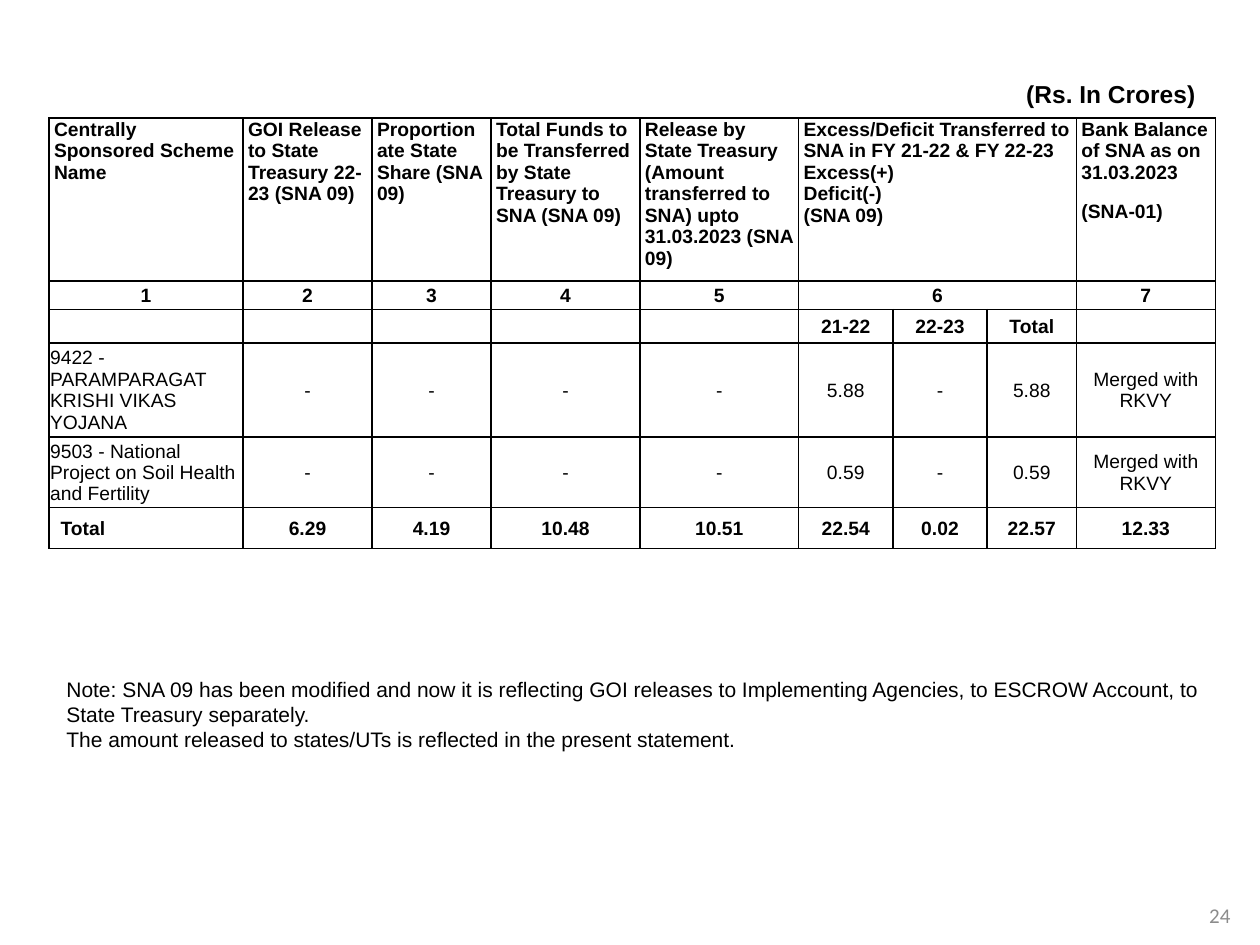
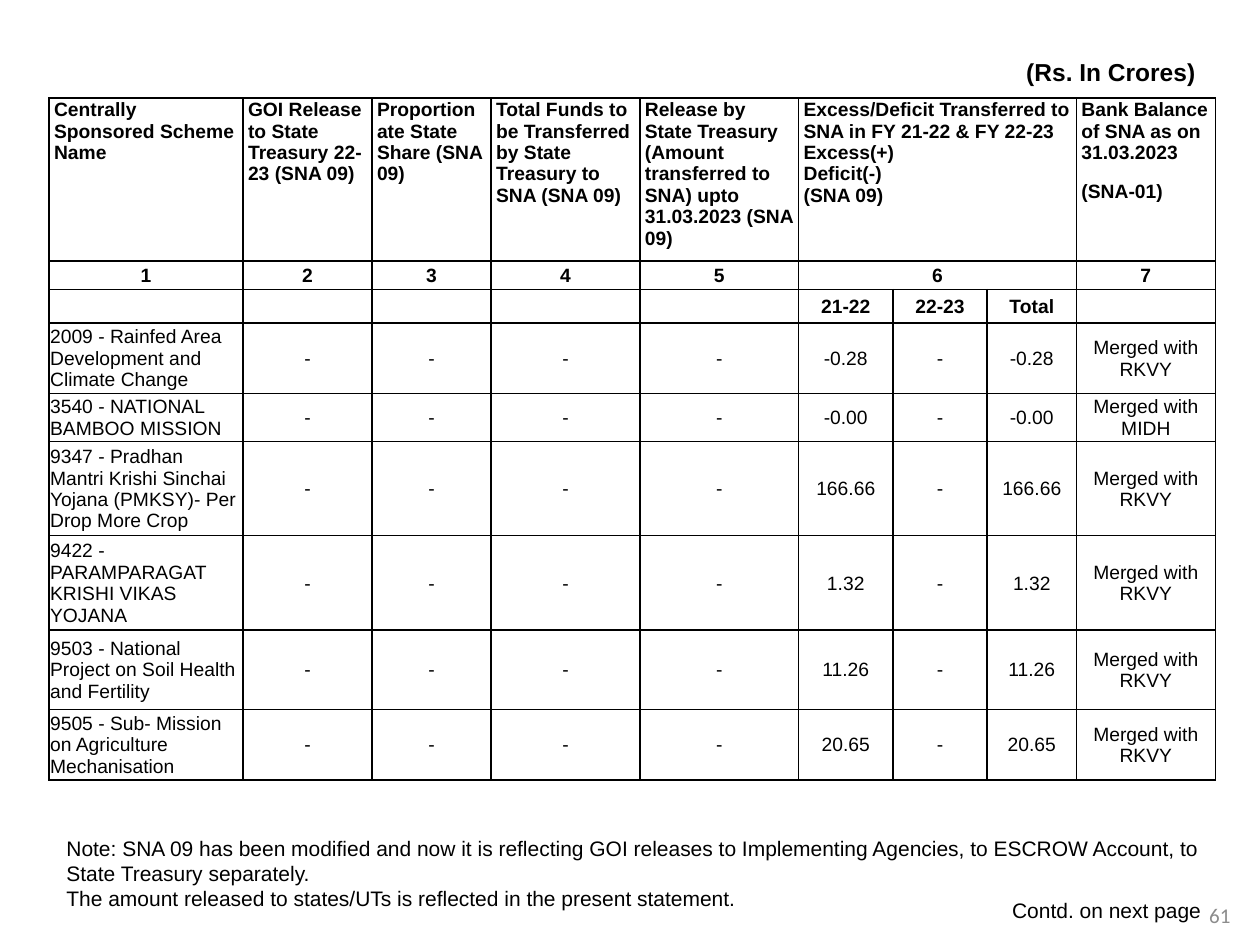
from lxml import etree
from pptx import Presentation
from pptx.dml.color import RGBColor
from pptx.enum.text import MSO_ANCHOR, MSO_AUTO_SIZE, PP_ALIGN
from pptx.oxml.ns import qn
from pptx.util import Cm, Pt

BLACK = RGBColor(0x00, 0x00, 0x00)
GREY = RGBColor(0x8C, 0x8C, 0x8C)
LEFT, CENTER, RIGHT = PP_ALIGN.LEFT, PP_ALIGN.CENTER, PP_ALIGN.RIGHT
TOP, MIDDLE, BOTTOM = MSO_ANCHOR.TOP, MSO_ANCHOR.MIDDLE, MSO_ANCHOR.BOTTOM
NO_FIT = MSO_AUTO_SIZE.NONE
TITLE_ONLY = 5

TITLE_FONT = {"name": "Arial", "size": Pt(14), "bold": True}
NOTE_FONT = {"name": "Arial", "size": Pt(12), "bold": False}
NUMBER_FONT = {"name": "Calibri", "size": Pt(12), "bold": False}
CELL_FONT = {"name": "Arial", "size": Pt(11), "bold": False}
HEAD_FONT = {**CELL_FONT, "bold": True}

# Cell insets in cm: left, top, right, bottom
HEAD_INSETS = (0.1, 0.02, 0.1, 0)
CELL_INSETS = (0.02, 0.02, 0.02, 0)
TOTAL_INSETS = (0.23, 0.02, 0.02, 0)

COLUMN_WIDTHS = (3.91, 2.6, 2.4, 3, 3.2, 1.9, 1.9, 1.8, 2.8)
HEADING_HEIGHTS = (3.28, 0.58, 0.67)
EXCESS_COLUMN, EXCESS_END, BALANCE_COLUMN = 5, 7, 8
HEADINGS = {
    0: ["Centrally Sponsored Scheme Name"],
    1: ["GOI Release to State Treasury 22-23 (SNA 09)"],
    2: ["Proportionate State Share (SNA 09)"],
    3: ["Total Funds to be Transferred by State Treasury to SNA (SNA 09)"],
    4: ["Release by State Treasury (Amount transferred to SNA) upto "
        "31.03.2023 (SNA 09)"],
    EXCESS_COLUMN: ["Excess/Deficit Transferred to SNA in FY 21-22 & FY 22-23",
                    "Excess(+)", "Deficit(-)", "(SNA 09)"],
    BALANCE_COLUMN: ["Bank Balance of SNA as on 31.03.2023", "(SNA-01)"],
}
YEARS = ["", "", "", "", "", "21-22", "22-23", "Total", ""]
NOTE = [
    "Note: SNA 09 has been modified and now it is reflecting GOI releases to "
    "Implementing Agencies, to ESCROW Account, to State Treasury separately.",
    "The amount released to states/UTs is reflected in the present statement.",
]


def merged_scheme(name, excess, target="RKVY"):
    """Row of a scheme that has only an excess or deficit of 21-22."""
    return [name, *"----", excess, "-", excess, f"Merged with {target}"]


PARAMPARAGAT = "9422 - PARAMPARAGAT KRISHI VIKAS YOJANA"
SOIL_HEALTH = "9503 - National Project on Soil Health and Fertility"
STATEMENTS = [
    {
        "caption_top": 0.86, "table_top": 2.38, "note_top": 13.51,
        "number": "24", "continued": False,
        "schemes": [
            (1.9, merged_scheme(PARAMPARAGAT, "5.88")),
            (1.42, merged_scheme(SOIL_HEALTH, "0.59")),
        ],
        "total": (0.83, ["Total", "6.29", "4.19", "10.48", "10.51",
                         "22.54", "0.02", "22.57", "12.33"]),
    },
    {
        "caption_top": 0.41, "table_top": 1.98, "note_top": 16.71,
        "number": "61", "continued": True,
        "schemes": [
            (1.42, merged_scheme(
                "2009 - Rainfed Area Development and Climate Change", "-0.28")),
            (0.97, merged_scheme(
                "3540 - NATIONAL BAMBOO MISSION", "-0.00", "MIDH")),
            (1.9, merged_scheme(
                "9347 - Pradhan Mantri Krishi Sinchai Yojana (PMKSY)- "
                "Per Drop More Crop", "166.66")),
            (1.9, merged_scheme(PARAMPARAGAT, "1.32")),
            (1.6, merged_scheme(SOIL_HEALTH, "11.26")),
            (1.42, merged_scheme(
                "9505 - Sub- Mission on Agriculture Mechanisation", "20.65")),
        ],
        "total": None,
    },
]


def write(frame, lines, font, color=BLACK, **paragraph_format):
    """Fill a text frame, one paragraph for each line."""
    for index, line in enumerate(lines):
        paragraph = frame.add_paragraph() if index else frame.paragraphs[0]
        for key, value in paragraph_format.items():
            setattr(paragraph, key, value)
        if not line:
            etree.SubElement(paragraph._p, qn("a:endParaRPr"),
                             sz=str(int(font["size"].pt * 100)))
            continue
        run = paragraph.add_run()
        run.text = line
        for key, value in font.items():
            setattr(run.font, key, value)
        run.font.color.rgb = color


def add_text(slide, box, lines, font, color=BLACK, anchor=TOP, align=LEFT,
             wrap=True):
    frame = slide.shapes.add_textbox(*map(Cm, box)).text_frame
    frame.word_wrap = wrap
    frame.vertical_anchor = anchor
    write(frame, lines, font, color, alignment=align)


def add_borders(cell):
    properties = cell._tc.get_or_add_tcPr()
    for side in ("lnL", "lnR", "lnT", "lnB"):
        line = etree.SubElement(properties, qn(f"a:{side}"), w=str(Pt(1)))
        fill = etree.SubElement(line, qn("a:solidFill"))
        etree.SubElement(fill, qn("a:srgbClr"), val=str(BLACK))


def fill_cell(cell, lines, font, insets, anchor, **paragraph_format):
    sides = ("margin_left", "margin_top", "margin_right", "margin_bottom")
    for side, inset in zip(sides, insets):
        setattr(cell, side, Cm(inset))
    cell.vertical_anchor = anchor
    write(cell.text_frame, lines, font, **paragraph_format)


def fill_row(table, row, values, font, first_insets=CELL_INSETS):
    for column, value in enumerate(values):
        fill_cell(table.cell(row, column), [value], font,
                  CELL_INSETS if column else first_insets, MIDDLE,
                  alignment=CENTER if column else LEFT)


def add_caption(slide, box):
    caption = slide.shapes.title
    caption.left, caption.top, caption.width, caption.height = map(Cm, box)
    frame = caption.text_frame
    frame.auto_size = NO_FIT
    frame.vertical_anchor = BOTTOM
    frame.margin_right = Cm(0.38)
    write(frame, ["(Rs. In Crores)"], TITLE_FONT, alignment=RIGHT)


def fill_headings(table):
    for row in (0, 1):
        table.cell(row, EXCESS_COLUMN).merge(table.cell(row, EXCESS_END))
    for number, (column, lines) in enumerate(HEADINGS.items(), start=1):
        gap = Pt(0 if column == EXCESS_COLUMN else 10)
        fill_cell(table.cell(0, column), lines, HEAD_FONT, HEAD_INSETS, TOP,
                  space_after=gap)
        fill_cell(table.cell(1, column), [str(number)], HEAD_FONT, HEAD_INSETS,
                  TOP, alignment=CENTER, line_spacing=1.15, space_after=Pt(10))
    fill_row(table, 2, YEARS, HEAD_FONT)


def add_statement_table(slide, left, top, schemes, total):
    heights = [*HEADING_HEIGHTS, *(height for height, _ in schemes)]
    if total:
        heights.append(total[0])
    size = (sum(COLUMN_WIDTHS), sum(heights))
    table = slide.shapes.add_table(len(heights), len(COLUMN_WIDTHS),
                                   *map(Cm, (left, top, *size))).table
    table.first_row = table.horz_banding = False
    for column, width in zip(table.columns, COLUMN_WIDTHS):
        column.width = Cm(width)
    for row, height in zip(table.rows, heights):
        row.height = Cm(height)
    for cell in table.iter_cells():
        add_borders(cell)
        cell.fill.background()

    fill_headings(table)
    for row, (_, values) in enumerate(schemes, start=len(HEADING_HEIGHTS)):
        fill_row(table, row, values, CELL_FONT)
    if total:
        fill_row(table, len(heights) - 1, total[1], HEAD_FONT, TOTAL_INSETS)


def add_footer(slide, number, continued):
    add_text(slide, (24.08, 17.93, 1.02, 1.02), [number], NUMBER_FONT, GREY,
             MIDDLE, CENTER)
    if continued:
        add_text(slide, (20.14, 17.96, 4.34, 0.76), ["Contd. on next page"],
                 NOTE_FONT, anchor=MIDDLE, align=CENTER, wrap=False)


def add_statement(deck, statement):
    slide = deck.slides.add_slide(deck.slide_layouts[TITLE_ONLY])
    add_caption(slide, (1.09, statement["caption_top"], 23.39, 1.45))
    add_statement_table(slide, 0.99, statement["table_top"],
                        statement["schemes"], statement["total"])
    add_text(slide, (1.09, statement["note_top"], 23.42, 1.8), NOTE, NOTE_FONT)
    add_footer(slide, statement["number"], statement["continued"])


def main():
    deck = Presentation()
    deck.slide_width, deck.slide_height = Cm(25.4), Cm(19.05)
    for statement in STATEMENTS:
        add_statement(deck, statement)
    deck.save("out.pptx")


if __name__ == "__main__":
    main()
